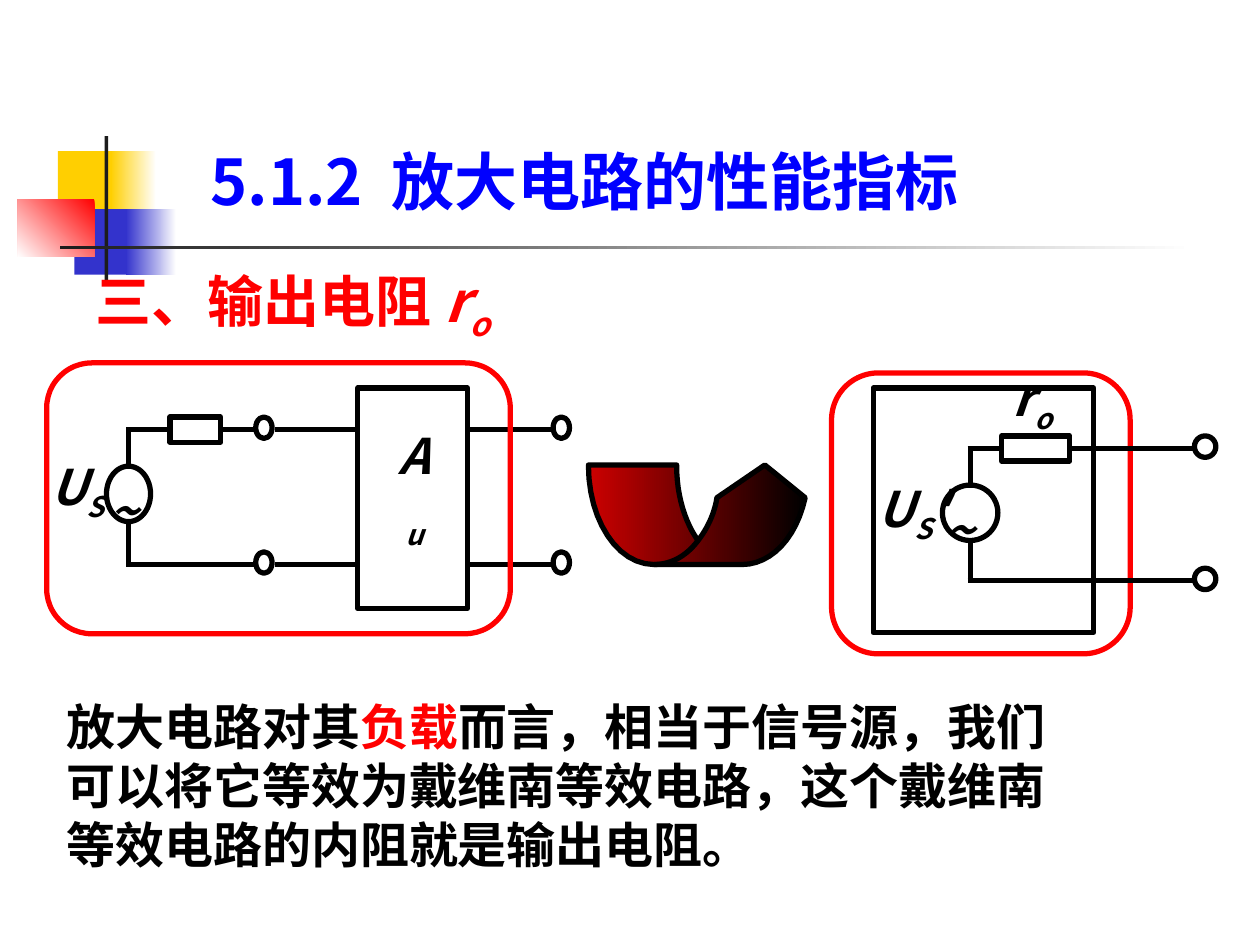
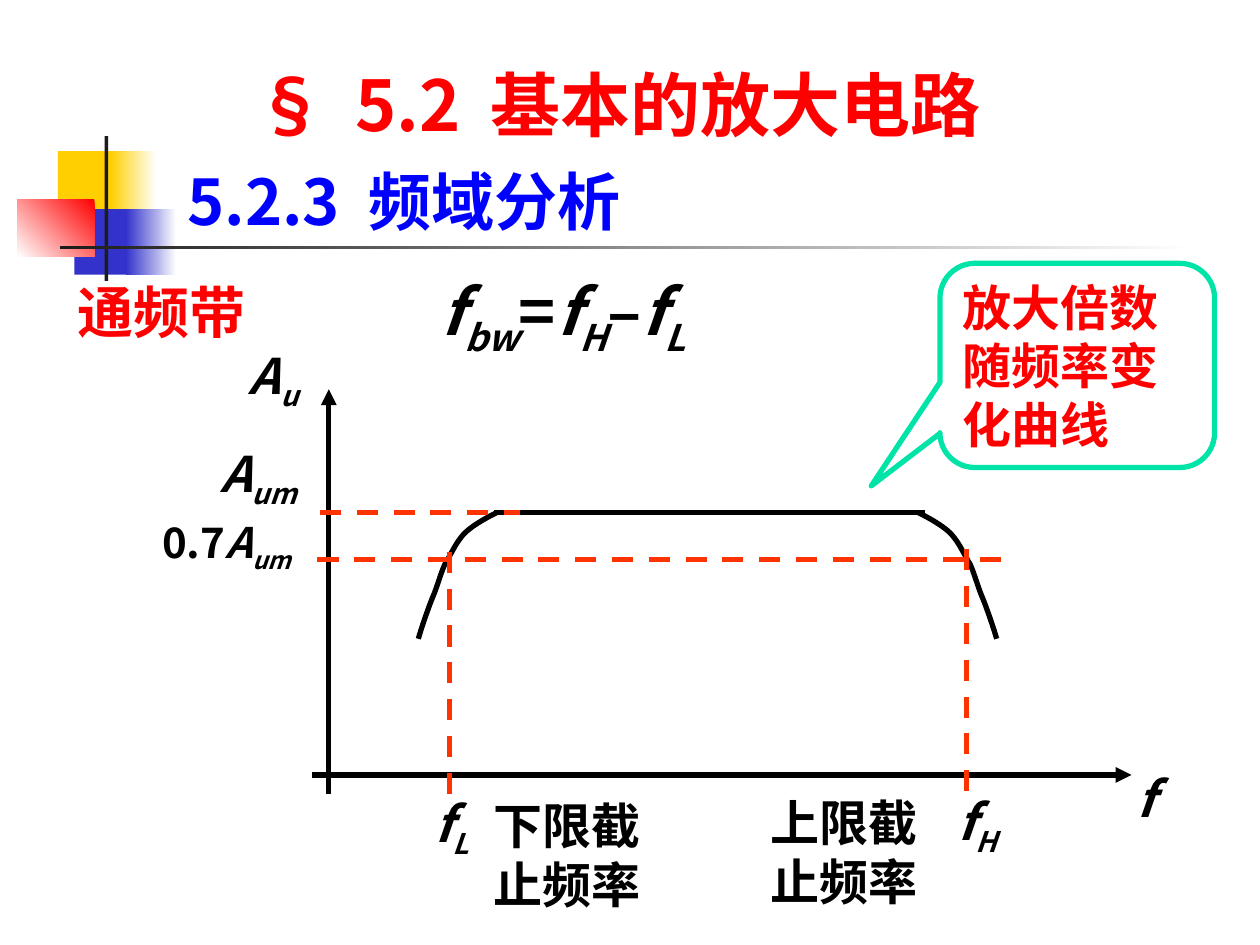
from collections import namedtuple

from lxml.etree import SubElement
from pptx import Presentation
from pptx.dml.color import RGBColor
from pptx.enum.dml import MSO_LINE
from pptx.enum.shapes import MSO_CONNECTOR, MSO_SHAPE
from pptx.enum.text import MSO_ANCHOR, MSO_AUTO_SIZE, PP_ALIGN
from pptx.oxml.ns import qn
from pptx.util import Inches, Pt

FONT = "Noto Sans CJK SC"
BLACK = RGBColor(0x00, 0x00, 0x00)
WHITE = RGBColor(0xFF, 0xFF, 0xFF)
RED = RGBColor(0xFF, 0x00, 0x00)
DARK_RED = RGBColor(0xCC, 0x00, 0x00)
BLUE = RGBColor(0x00, 0x00, 0xFF)
YELLOW = RGBColor(0xFF, 0xCF, 0x01)
INDIGO = RGBColor(0x33, 0x33, 0xCC)
CHARCOAL = RGBColor(0x1C, 0x1C, 0x1C)
ORANGE = RGBColor(0xFF, 0x33, 0x00)
MINT = RGBColor(0x00, 0xE4, 0xA8)
LINE_WIDTH = Pt(3)

Span = namedtuple("Span", "text italic subscript color spacing",
                  defaults=(False, False, None, None))


# Text helpers
def variable(symbol, subscript):
    return [Span(symbol, True), Span(subscript, True, True)]


def heading_spans(text, gap):
    """Split a heading at its spaces and widen each space by gap points."""
    spans = []
    for word in text.split(" "):
        if spans:
            spans.append(Span(" ", spacing=gap))
        spans.append(Span(word))
    return spans


def write(text_frame, spans, size, color, align=PP_ALIGN.LEFT, anchor=MSO_ANCHOR.MIDDLE):
    text_frame.word_wrap = True
    text_frame.vertical_anchor = anchor
    paragraph = text_frame.paragraphs[0]
    paragraph.alignment = align
    for span in spans:
        run = paragraph.add_run()
        run.text = span.text
        run.font.size = Pt(size)
        run.font.bold = True
        run.font.italic = span.italic
        run.font.color.rgb = span.color or color
        run.font.name = FONT
        properties = run._r.get_or_add_rPr()
        SubElement(properties, qn("a:ea"), typeface=FONT)
        if span.subscript:
            properties.set("baseline", "-25000")
        if span.spacing:
            properties.set("spc", str(span.spacing * 100))


def add_text(slide, box, spans, size=28, color=BLACK, align=PP_ALIGN.LEFT,
             anchor=MSO_ANCHOR.MIDDLE):
    shape = slide.shapes.add_textbox(*map(Inches, box))
    write(shape.text_frame, spans, size, color, align, anchor)
    shape.text_frame.auto_size = MSO_AUTO_SIZE.SHAPE_TO_FIT_TEXT


def add_title(slide, box, text, size, color):
    title = slide.shapes.title
    title.left, title.top, title.width, title.height = map(Inches, box)
    write(title.text_frame, heading_spans(text, 8), size, color, anchor=MSO_ANCHOR.TOP)
    title.text_frame.auto_size = MSO_AUTO_SIZE.NONE


# Drawing helpers
def set_gradient(shape, start, end, angle):
    shape.fill.gradient()
    shape.fill.gradient_angle = angle
    for stop, color in zip(shape.fill.gradient_stops, (start, end)):
        stop.color.rgb = color


def set_outline(shape, color, fill=None):
    shape.shadow.inherit = False
    if fill is None:
        shape.fill.background()
    else:
        shape.fill.solid()
        shape.fill.fore_color.rgb = fill
    shape.line.color.rgb = color
    shape.line.width = LINE_WIDTH


def add_outline(slide, kind, box, color=BLACK, fill=None):
    shape = slide.shapes.add_shape(kind, *map(Inches, box))
    set_outline(shape, color, fill)
    return shape


def add_line(slide, start, end, color=BLACK, dashed=False, arrow=False):
    connector = slide.shapes.add_connector(
        MSO_CONNECTOR.STRAIGHT, *map(Inches, (*start, *end)))
    connector.line.color.rgb = color
    connector.line.width = LINE_WIDTH
    if dashed:
        connector.line.dash_style = MSO_LINE.DASH
    properties = connector._element.spPr
    if arrow:
        SubElement(properties.find(qn("a:ln")), qn("a:tailEnd"), type="triangle")
    SubElement(properties, qn("a:effectLst"))
    return connector


def bezier(start, first, second, end, steps=12):
    """Points along a cubic curve, without its start."""
    points = []
    for step in range(1, steps + 1):
        t = step / steps
        weights = ((1 - t) ** 3, 3 * t * (1 - t) ** 2, 3 * t * t * (1 - t), t ** 3)
        points.append(tuple(
            sum(w * p[axis] for w, p in zip(weights, (start, first, second, end)))
            for axis in (0, 1)))
    return points


def trace(start, segments):
    """Follow segments of one point (line) or three points (curve)."""
    points = [start]
    for segment in segments:
        points += bezier(points[-1], *segment) if len(segment) == 3 else segment
    return points


def add_freeform(slide, left, top, points, close=False):
    scaled = [(Inches(left + x), Inches(top + y)) for x, y in points]
    builder = slide.shapes.build_freeform(*scaled[0])
    builder.add_line_segments(scaled[1:], close=close)
    shape = builder.convert_to_shape()
    set_outline(shape, BLACK)
    return shape


# Shared band: coloured squares and crossing bars
def add_decoration(slide, left=0.14, top=1.08):
    bars = (
        (0.32, 0.12, 0.48, 0.52, YELLOW, None, 0),
        (0.74, 0.12, 0.36, 0.52, WHITE, YELLOW, 180),
        (0.45, 0.58, 0.46, 0.52, INDIGO, None, 0),
        (0.86, 0.58, 0.4, 0.52, WHITE, INDIGO, 180),
        (0, 0.5, 0.61, 0.46, RED, WHITE, 225),
        (0.69, 0, 0.03, 1.15, CHARCOAL, None, 0),
        (0.34, 0.87, 9, 0.03, WHITE, CHARCOAL, 180),
    )
    for x, y, width, height, start, end, angle in bars:
        shape = add_outline(slide, MSO_SHAPE.RECTANGLE,
                            (left + x, top + y, width, height), fill=start)
        shape.line.fill.background()
        if end is not None:
            set_gradient(shape, start, end, angle)


# Circuit parts
def add_source(slide, left, top, bottom, circle_width, resistor, wire_end):
    """Voltage source on the axis left, with a series resistor on the top wire."""
    circle_left, circle_top = left - circle_width / 2, top + 0.29
    resistor_left, resistor_width = resistor
    add_outline(slide, MSO_SHAPE.OVAL, (circle_left, circle_top, circle_width, 0.44))
    add_text(slide, (circle_left - 0.08, top + 0.35, circle_width + 0.03, 0.57),
             [Span("~", True)])
    add_line(slide, (left, top), (left, circle_top + 0.02))
    add_line(slide, (left, circle_top + 0.44), (left, bottom + 0.02))
    add_line(slide, (left - 0.02, bottom), (wire_end, bottom))
    box = (left + resistor_left, top - 0.1, resistor_width, 0.2)
    body = add_outline(slide, MSO_SHAPE.RECTANGLE, box, fill=WHITE)
    add_line(slide, (left - 0.02, top), (box[0], top)).end_connect(body, 1)
    add_line(slide, (box[0] + resistor_width, top), (wire_end, top)).begin_connect(body, 3)


def add_terminal(slide, left, wire_y, width):
    add_outline(slide, MSO_SHAPE.OVAL, (left, wire_y - 0.1, width, 0.17))


def add_amplifier_circuit(slide, left, top):
    """Source feeding the amplifier block, inside the red frame."""
    wires = (top + 0.53, top + 1.6)
    add_outline(slide, MSO_SHAPE.RECTANGLE, (left + 2.47, top + 0.2, 0.87, 1.75))
    for wire_y in wires:
        add_line(slide, (left + 1.81, wire_y), (left + 2.47, wire_y))
        add_line(slide, (left + 3.34, wire_y), (left + 4.01, wire_y))
        for x in (1.66, 4.02):
            add_terminal(slide, left + x, wire_y, 0.13)
    add_source(slide, left + 0.65, *wires, 0.35, (0.33, 0.4), left + 1.67)
    add_text(slide, (left + 2.65, top + 0.68, 0.54, 0.63), variable("A", "u"),
             align=PP_ALIGN.CENTER)
    add_text(slide, (left - 0.17, top + 0.69, 0.83, 0.63), variable("U", "S"),
             align=PP_ALIGN.CENTER)
    add_outline(slide, MSO_SHAPE.ROUNDED_RECTANGLE, (left, top, 3.68, 2.15), RED)


def add_equivalent_circuit(slide, left, top):
    """Equivalent source with the output resistance, inside the red frame."""
    wires = (top + 0.6, top + 1.65)
    add_outline(slide, MSO_SHAPE.ROUNDED_RECTANGLE, (left, top, 2.37, 2.23), RED)
    add_outline(slide, MSO_SHAPE.RECTANGLE, (left + 0.33, top + 0.12, 1.75, 1.94))
    add_source(slide, left + 1.1, *wires, 0.44, (0.25, 0.54), left + 2.87)
    for wire_y in wires:
        add_terminal(slide, left + 2.88, wire_y, 0.17)
    add_text(slide, (left + 1.23, top - 0.09, 0.73, 0.63), variable("r", "o"),
             align=PP_ALIGN.CENTER)
    add_text(slide, (left + 0.27, top + 0.79, 0.86, 0.63),
             variable("U", "S") + [Span("'", True)], anchor=MSO_ANCHOR.TOP)


def add_curved_arrow(slide, left, top):
    """Folded arrow between the two circuits."""
    outline = trace((0, 0), (
        ((0, 0.44), (0.23, 0.79), (0.52, 0.79)),
        ((1.22, 0.79),),
        ((1.45, 0.79), (1.65, 0.58), (1.72, 0.26)),
        ((1.4, 0),),
        ((1.02, 0.26),),
        ((1, 0.39), (0.94, 0.51), (0.87, 0.6)),
        ((0.77, 0.46), (0.7, 0.25), (0.7, 0)),
    ))
    set_gradient(add_freeform(slide, left, top, outline, close=True), DARK_RED, BLACK, 0)
    fold = bezier((0.52, 0.79), (0.66, 0.79), (0.78, 0.72), (0.87, 0.6))
    add_freeform(slide, left, top, [(0.52, 0.79)] + fold)


# Frequency response
def add_frequency_plot(slide, left, bottom):
    """Axes crossing at left and bottom, response curve, limits and labels."""
    add_line(slide, (left, bottom + 0.15), (left, bottom - 3.06), arrow=True)
    add_line(slide, (left - 0.13, bottom), (left + 6.37, bottom), arrow=True)

    # Flat top and the two falling flanks
    peak = bottom - 2.08
    add_line(slide, (left + 1.31, peak), (left + 4.73, peak))
    flank = trace((0, 0), (
        ((0.04, 0.02), (0.18, 0.09), (0.25, 0.16)),
        ((0.32, 0.23), (0.36, 0.33), (0.41, 0.41)),
        ((0.45, 0.5), (0.47, 0.59), (0.51, 0.68)),
        ((0.55, 0.78), (0.6, 0.93), (0.62, 1)),
    ))
    for start, direction in ((1.33, -1), (4.68, 1)):
        add_freeform(slide, left + start, peak, [(direction * x, y) for x, y in flank])

    # Dashed levels and cutoff frequencies
    for y, start, end in ((peak, -0.07, 1.52), (bottom - 1.71, -0.09, 5.46)):
        add_line(slide, (left + start, y), (left + end, y), ORANGE, dashed=True)
    cutoffs = (
        (0.96, 0.62, 1.21, "L", "下限截止频率", 0),
        (5.06, 4.79, 3.41, "H", "上限截止频率", -0.02),
    )
    for x, symbol_x, name_x, subscript, name, shift in cutoffs:
        y = bottom + shift
        add_line(slide, (left + x, y - 1.77), (left + x, y + 0.23), ORANGE, dashed=True)
        add_text(slide, (left + symbol_x, y + 0.1, 0.71, 0.63),
                 variable("f", subscript), align=PP_ALIGN.CENTER)
        add_text(slide, (left + name_x, y + 0.11, 1.54, 1.04), [Span(name)])

    # Axis labels
    add_text(slide, (left + 6.31, bottom - 0.1, 1.04, 0.57), [Span("f", True)])
    labels = (
        ((-0.92, -3.46, 0.96, 0.63), variable("A", "u"), 28),
        ((-1.17, -2.68, 1.23, 0.63), variable("A", "um"), 28),
        ((-1.56, -2.1, 1.5, 0.56), [Span("0.7")] + variable("A", "um"), 24),
    )
    for (x, y, width, height), spans, size in labels:
        add_text(slide, (left + x, bottom + y, width, height), spans, size,
                 align=PP_ALIGN.CENTER)


def add_callout(slide, box, text):
    callout = add_outline(slide, MSO_SHAPE.ROUNDED_RECTANGULAR_CALLOUT, box, MINT)
    for index, value in enumerate((-0.75, 0.59, 0.17)):
        callout.adjustments[index] = value
    write(callout.text_frame, [Span(text)], 28, RED)


# Slides
def new_slide(presentation):
    slide = presentation.slides.add_slide(presentation.slide_layouts[5])
    add_decoration(slide)
    return slide


def build_output_resistance(presentation):
    slide = new_slide(presentation)
    add_title(slide, (1.57, 1.08, 6.89, 0.7), "5.1.2 放大电路的性能指标", 36, BLUE)
    add_text(slide, (0.66, 2.06, 7.35, 0.71),
             [Span("三、输出电阻 ")] + variable("r", "o"), 32, RED)
    add_amplifier_circuit(slide, 0.37, 2.88)
    add_curved_arrow(slide, 4.67, 3.69)
    add_equivalent_circuit(slide, 6.6, 2.96)
    add_text(slide, (0.43, 5.48, 8.29, 1.5), [
        Span("放大电路对其"),
        Span("负载", color=RED),
        Span("而言，相当于信号源，我们可以将它等效为戴维南等效电路，"
             "这个戴维南等效电路的内阻就是输出电阻。"),
    ])


def build_frequency_analysis(presentation):
    slide = new_slide(presentation)
    add_title(slide, (1.93, 0.44, 6.53, 0.77), "§ 5.2 基本的放大电路", 40, RED)
    add_text(slide, (1.39, 1.24, 6.44, 0.7), heading_spans("5.2.3 频域分析", 8),
             36, BLUE, anchor=MSO_ANCHOR.TOP)
    add_text(slide, (0.52, 2.15, 3, 0.64), [Span("通频带")], 32, RED)
    add_text(slide, (3.4, 2.11, 2.62, 0.79),
             variable("f", "bw") + [Span("=")] + variable("f", "H")
             + [Span("–")] + variable("f", "L"), 36)
    add_frequency_plot(slide, 2.61, 6.15)
    add_callout(slide, (7.46, 2.09, 2.18, 1.62), "放大倍数随频率变化曲线")


def main():
    presentation = Presentation()
    presentation.slide_width = Inches(10)
    presentation.slide_height = Inches(7.5)
    build_output_resistance(presentation)
    build_frequency_analysis(presentation)
    presentation.save("out.pptx")


if __name__ == "__main__":
    main()
